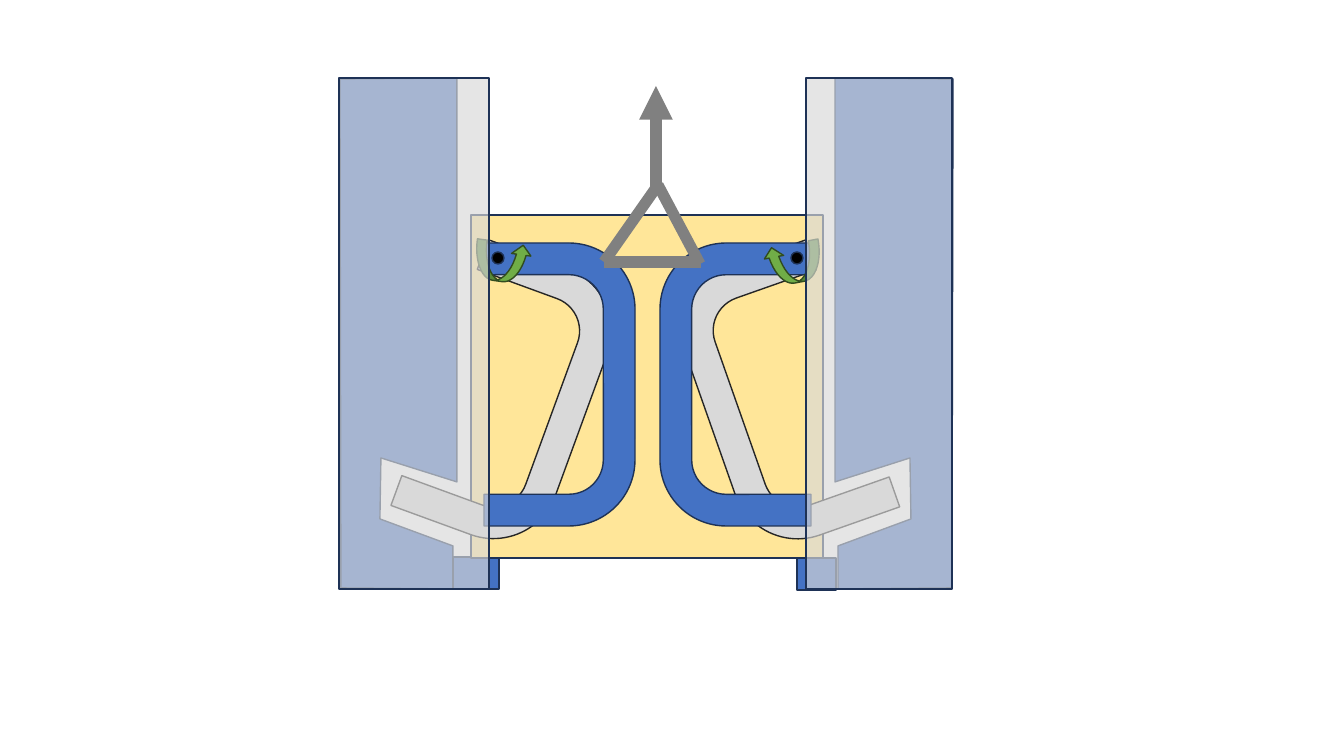
"""Draws a lifting tool whose hinged arms grip the walls of a shaft."""
import lxml.etree
import pptx
import pptx.dml.color
import pptx.enum.shapes
import pptx.oxml.ns
import pptx.util

RGB = pptx.dml.color.RGBColor
PRESET = pptx.enum.shapes.MSO_SHAPE

BLUE = RGB(0x44, 0x72, 0xC4)
NAVY = RGB(0x1E, 0x32, 0x56)
YELLOW = RGB(0xFF, 0xE6, 0x99)
LIGHT_GREY = RGB(0xD9, 0xD9, 0xD9)
DARK_GREY = RGB(0x26, 0x26, 0x26)
CABLE_GREY = RGB(0x80, 0x80, 0x80)
GREEN = RGB(0x70, 0xAD, 0x47)
DARK_GREEN = RGB(0x31, 0x4C, 0x1F)
BLACK = RGB(0, 0, 0)

PX = 914400 / 100.8
SLIDE_SIZE = (1344, 756)

LEDGES = [(797, 558, 39, 32), (453, 557, 46, 32)]
LOAD = (471, 215, 352, 343)
ARM_SIZE = (283, 151)
ARM_BENDS = (0.243, 0.105, 0, 0.438, 1)
ARMS = [
    (369, 323, 110.1, LIGHT_GREY, DARK_GREY),
    (640, 323, 250.6, LIGHT_GREY, DARK_GREY),
    (418, 309, 90, BLUE, NAVY),
    (594, 309, 270, BLUE, NAVY),
]
PINS = [(492, 252, 12, 12), (791, 252, 12, 12)]
HOIST = ((656, 193), (656, 86))
SLINGS = [
    ((658, 185), (604, 262)),
    ((701, 262), (604, 262)),
    ((658, 185), (700, 264)),
]
SWINGS = [((483, 234, 39, 56), 278, False), ((774, 235, 39, 57), 259.3, True)]
WALLS = [
    [(457, 78), (457, 482), (381, 458), (380, 519),
     (453, 546), (453, 589), (341, 588), (340, 79)],
    [(835, 78), (835, 482), (910, 458), (911, 519),
     (838, 546), (838, 589), (952, 588), (953, 79)],
]
VEILS = [(339, 78, 150, 511), (806, 78, 146, 511)]
VEIL_ALPHA = 66000


def emu(*lengths):
    return [pptx.util.Emu(round(length * PX)) for length in lengths]


def add_xml(parent, tag, **attributes):
    lxml.etree.SubElement(parent, pptx.oxml.ns.qn(tag), attributes)


def paint(shape, fill, line):
    shape.shadow.inherit = False
    shape.fill.solid()
    shape.fill.fore_color.rgb = fill
    shape.line.color.rgb = line
    shape.line.width = pptx.util.Pt(1)


def add_part(slide, preset, box, fill, line=NAVY, rotation=0):
    part = slide.shapes.add_shape(preset, *emu(*box))
    part.rotation = rotation
    paint(part, fill, line)
    return part


def add_cable(slide, start, end):
    cable = slide.shapes.add_connector(
        pptx.enum.shapes.MSO_CONNECTOR.STRAIGHT, *emu(*start, *end))
    cable.line.color.rgb = CABLE_GREY
    cable.line.width = pptx.util.Pt(8)
    add_xml(cable._element.spPr, "a:effectLst")
    return cable


def main():
    deck = pptx.Presentation()
    deck.slide_width, deck.slide_height = emu(*SLIDE_SIZE)
    slide = deck.slides.add_slide(deck.slide_layouts[6])

    for box in LEDGES:
        add_part(slide, PRESET.RECTANGLE, box, BLUE)
    add_part(slide, PRESET.RECTANGLE, LOAD, YELLOW)

    for left, top, rotation, fill, line in ARMS:
        arm = add_part(slide, PRESET.U_TURN_ARROW, (left, top, *ARM_SIZE),
                       fill, line, rotation)
        for index, bend in enumerate(ARM_BENDS):
            arm.adjustments[index] = bend

    for box in PINS:
        add_part(slide, PRESET.OVAL, box, BLACK)

    hoist = add_cable(slide, *HOIST)
    hoist_line = hoist._element.spPr.find(pptx.oxml.ns.qn("a:ln"))
    add_xml(hoist_line, "a:tailEnd", type="triangle")
    for start, end in SLINGS:
        add_cable(slide, start, end)

    for box, rotation, flipped in SWINGS:
        swing = add_part(slide, PRESET.CURVED_RIGHT_ARROW, box,
                         GREEN, DARK_GREEN, rotation)
        if flipped:
            swing._element.spPr.xfrm.set("flipV", "1")

    for corners in WALLS:
        outline = slide.shapes.build_freeform(*corners[0], scale=PX)
        outline.add_line_segments(corners[1:], close=True)
        paint(outline.convert_to_shape(), BLUE, NAVY)

    for box in VEILS:
        veil = add_part(slide, PRESET.RECTANGLE, box, LIGHT_GREY)
        veil_fill = veil._element.spPr.find(pptx.oxml.ns.qn("a:solidFill"))
        add_xml(veil_fill[0], "a:alpha", val=str(VEIL_ALPHA))

    deck.save("out.pptx")


if __name__ == "__main__":
    main()
